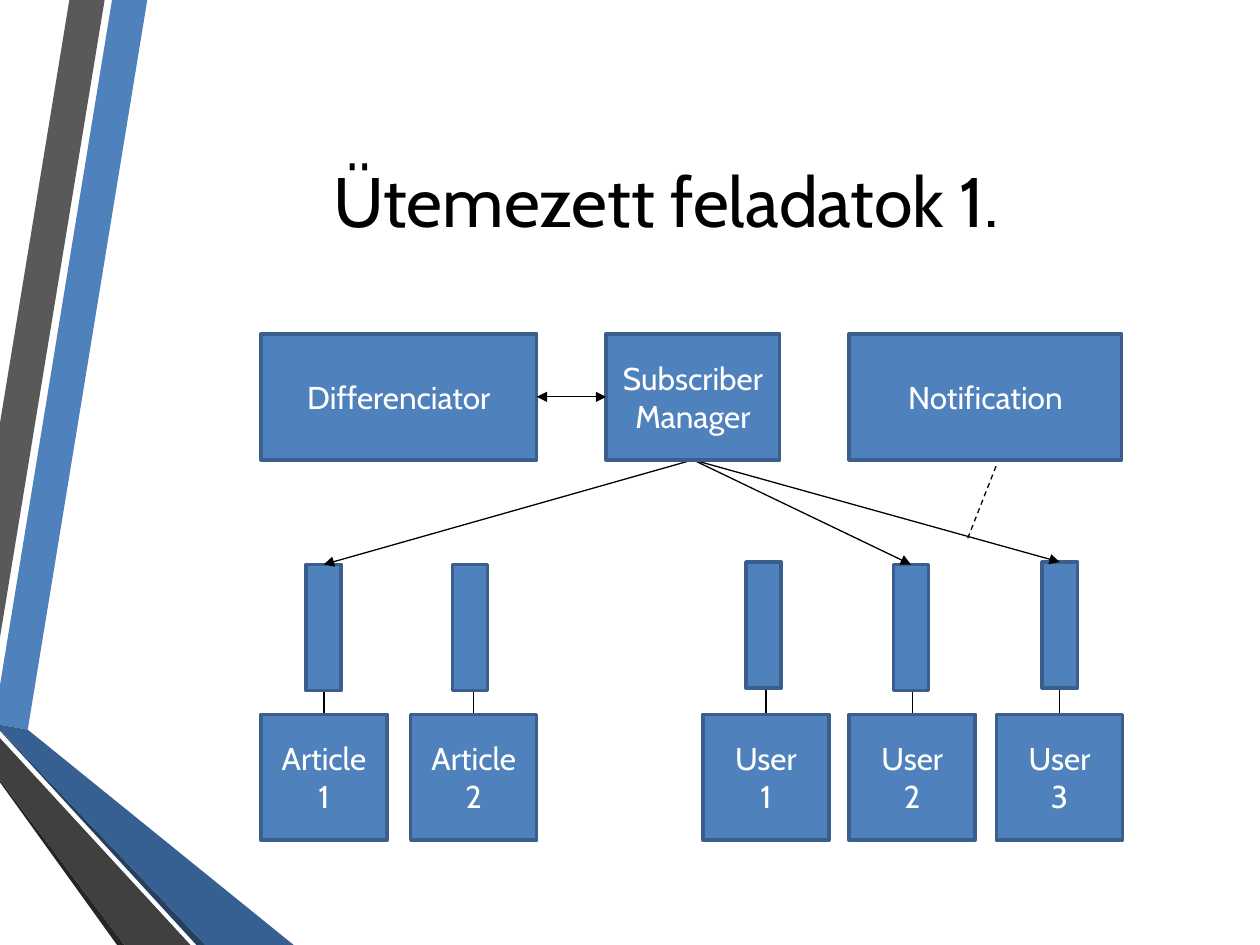
import pptx
import pptx.util
import pptx.dml.color
import pptx.enum.dml
import pptx.enum.shapes
import pptx.enum.text
import pptx.oxml.ns
import lxml.etree

Cm = pptx.util.Cm
Pt = pptx.util.Pt
FONT = "Cabin"
HEX = {
    "blue": "4F81BD", "edge": "3A5F8C", "deep": "376092", "navy": "254061",
    "gray": "595959", "dark": "404040", "soot": "262626",
    "ink": "000000", "white": "FFFFFF",
}
# Ribbon outlines, in cm from the top left corner of the slide
BANDS = [
    ("blue", [(0, 13.82), (0, 14.61), (0.56, 14.71), (2.97, 0), (2.26, 0)]),
    ("gray", [(2.11, 0), (1.4, 0), (0, 8.53), (0, 12.85)]),
    ("soot", [(0, 15.72), (0, 15.77), (2.36, 19.05), (2.51, 19.05)]),
    ("navy", [(0, 14.71), (0, 14.73), (3.96, 19.05), (4.14, 19.05)]),
    ("deep", [(0, 14.71), (4.14, 19.05), (5.92, 19.05), (0.56, 14.71), (0, 14.61)]),
    ("dark", [(0, 15.72), (2.51, 19.05), (3.84, 19.05), (0, 14.88)]),
]
# Label lines, card left, bar left, bar top, within the diagram
NODES = [
    (["Article 1"], 0, 0.91, 4.65),
    (["Article 2"], 3.02, 3.86, 4.65),
    (["User", "1"], 8.91, 9.78, 4.6),
    (["User", "2"], 11.86, 12.75, 4.65),
    (["User", "3"], 14.83, 15.75, 4.6),
]
SIDE = 2.54
BAR = 0.71
ROW = 7.67


def tint(name):
    """Give the named colour."""
    return pptx.dml.color.RGBColor.from_string(HEX[name])


def write(shape, lines, size, color):
    """Fill a shape with centred paragraphs."""
    frame = shape.text_frame
    frame.word_wrap = True
    frame.vertical_anchor = pptx.enum.text.MSO_ANCHOR.MIDDLE
    frame.text = "\n".join(lines)
    for para in frame.paragraphs:
        para.alignment = pptx.enum.text.PP_ALIGN.CENTER
        para.font.name = FONT
        para.font.size = Pt(size)
        para.font.color.rgb = tint(color)


def block(slide, x, y, w, h, lines=()):
    """Draw a blue rectangle with optional text."""
    shape = slide.shapes.add_shape(
        pptx.enum.shapes.MSO_SHAPE.RECTANGLE, Cm(x), Cm(y), Cm(w), Cm(h))
    shape.shadow.inherit = False
    shape.fill.solid()
    shape.fill.fore_color.rgb = tint("blue")
    shape.line.color.rgb = tint("edge")
    shape.line.width = Pt(2)
    if lines:
        write(shape, lines, 18, "white")


def link(slide, start, end, heads=(), dash=False):
    """Draw a thin line with the given arrowheads."""
    line = slide.shapes.add_connector(
        pptx.enum.shapes.MSO_CONNECTOR.STRAIGHT,
        *[Cm(v) for v in (*start, *end)])
    line.line.color.rgb = tint("ink")
    line.line.width = Pt(0.75)
    if dash:
        line.line.dash_style = pptx.enum.dml.MSO_LINE.DASH
    qn = pptx.oxml.ns.qn
    props = line._element.spPr
    for head in heads:
        lxml.etree.SubElement(props.find(qn("a:ln")), qn("a:" + head), type="triangle")
    lxml.etree.SubElement(props, qn("a:effectLst"))


def ribbon(slide, x, y):
    """Draw the folded ribbon from its top left corner."""
    for color, spots in BANDS:
        spots = [(Cm(x + a), Cm(y + b)) for a, b in spots]
        form = slide.shapes.build_freeform(*spots[0])
        form.add_line_segments(spots[1:], close=True)
        shape = form.convert_to_shape()
        shape.shadow.inherit = False
        shape.fill.solid()
        shape.fill.fore_color.rgb = tint(color)
        shape.line.fill.background()


def title(slide, x, y, w, h):
    """Place the heading."""
    box = slide.shapes.add_textbox(Cm(x), Cm(y), Cm(w), Cm(h))
    write(box, ["Ütemezett feladatok 1."], 40, "ink")


def diagram(slide, x, y):
    """Draw the managers, the queues and their owners."""
    hub = (x + 8.71, y + SIDE)
    for lines, left, bar, top in NODES:
        mid = x + left + SIDE / 2
        link(slide, (mid, y + top + SIDE), (mid, y + ROW))
        block(slide, x + left, y + ROW, SIDE, SIDE, lines)
        block(slide, x + bar, y + top, BAR, SIDE)
    for place in (0, 3, 4):
        bar, top = NODES[place][2:]
        link(slide, hub, (x + bar + BAR / 2, y + top), ["tailEnd"])
    block(slide, x, y, 5.56, SIDE, ["Differenciator"])
    block(slide, x + 6.96, y, 3.5, SIDE, ["Subscriber Manager"])
    block(slide, x + 11.86, y, 5.49, SIDE, ["Notification"])
    link(slide, (x + 5.56, y + SIDE / 2), (x + 6.96, y + SIDE / 2),
         ["headEnd", "tailEnd"])
    link(slide, (x + 14.25, y + 4.12), (x + 14.83, y + 2.64), dash=True)


deck = pptx.Presentation()
deck.slide_width, deck.slide_height = Cm(25.4), Cm(19.05)
page = deck.slides.add_slide(deck.slide_layouts[6])
ribbon(page, 0, 0)
title(page, 2.72, 1.27, 21.41, 5.51)
diagram(page, 5.26, 6.73)
deck.save("out.pptx")
